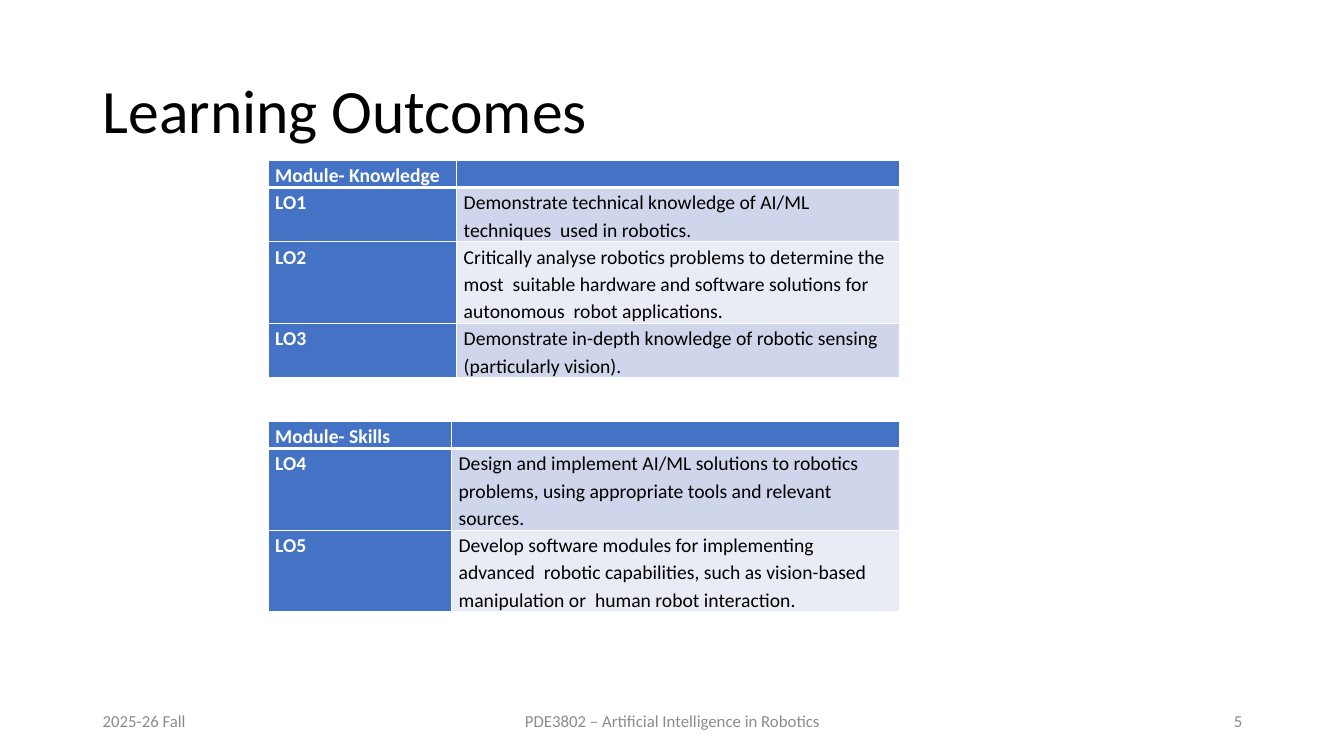
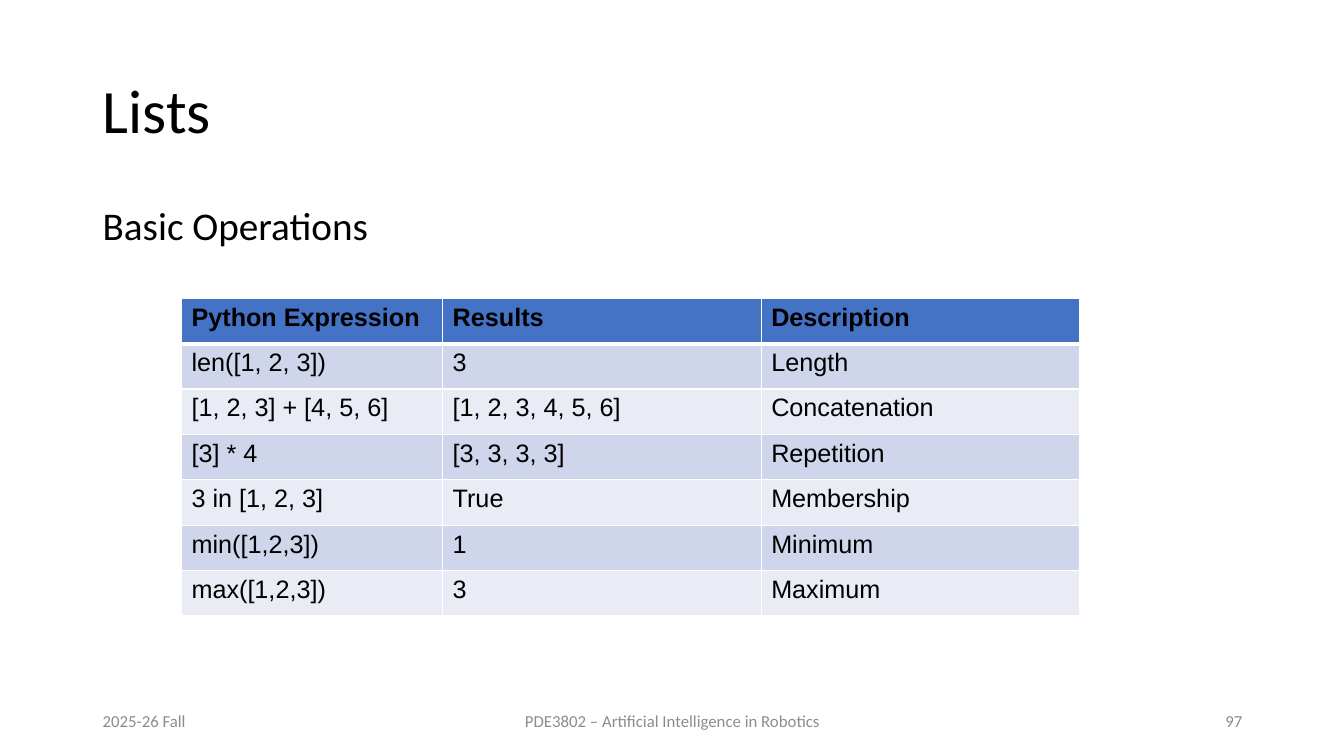
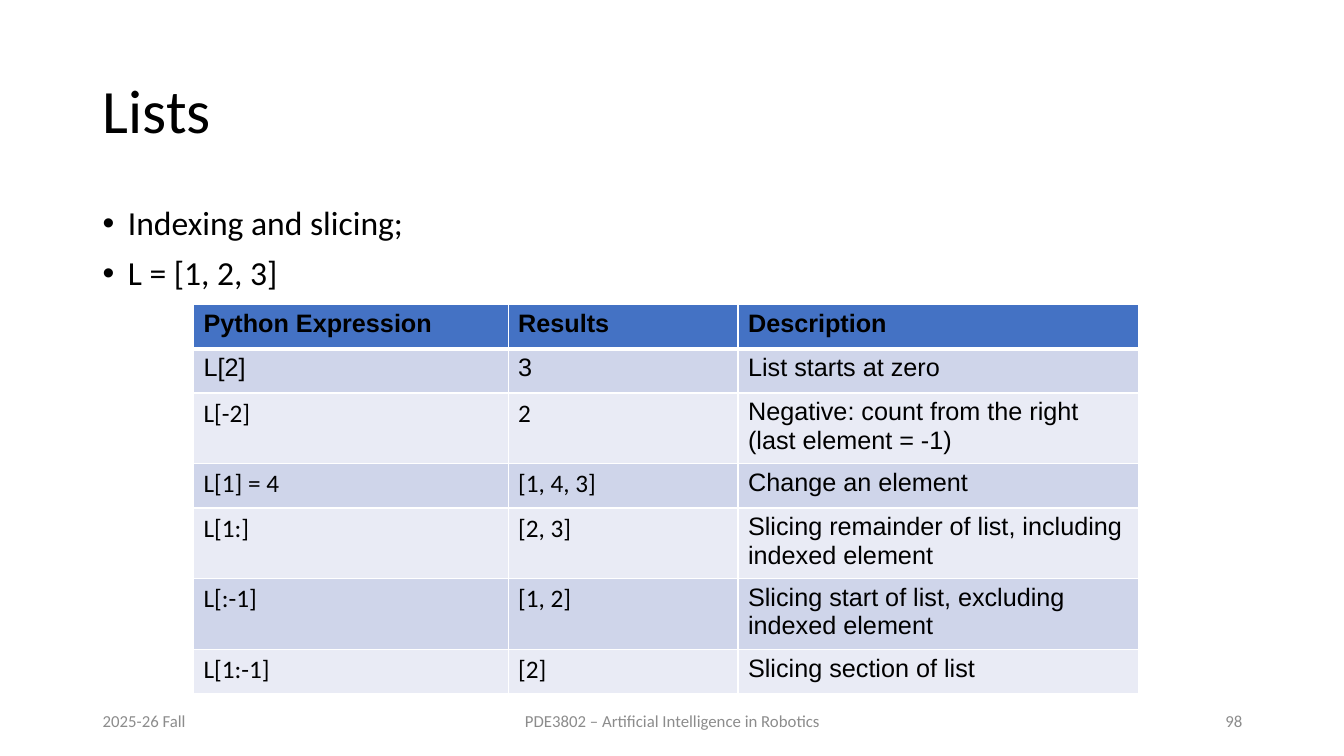
from lxml.etree import SubElement
from pptx import Presentation
from pptx.dml.color import RGBColor
from pptx.enum.text import MSO_ANCHOR as Anchor, PP_ALIGN as Align
from pptx.oxml.ns import qn
from pptx.util import Inches, Pt

BLACK = RGBColor(0x00, 0x00, 0x00)
WHITE = RGBColor(0xFF, 0xFF, 0xFF)
GREY = RGBColor(0x8C, 0x8C, 0x8C)
BLUE = RGBColor(0x44, 0x72, 0xC4)
BANDS = [RGBColor(0xCF, 0xD5, 0xEA), RGBColor(0xE9, 0xEB, 0xF5)]


def add_text(page, place, lines, size, color=BLACK, align=Align.LEFT,
             anchor=Anchor.MIDDLE, spacing=None, bullets=False):
    box = page.shapes.add_textbox(*[Inches(value) for value in place])
    frame = box.text_frame
    frame.word_wrap = True
    frame.vertical_anchor = anchor
    frame.text = "\n".join(lines)
    for index, para in enumerate(frame.paragraphs):
        para.alignment = align
        para.line_spacing = spacing
        if index:
            para.space_before = Pt(10)
        if bullets:
            props = para._p.get_or_add_pPr()
            props.set("marL", str(Inches(0.25)))
            props.set("indent", str(Inches(-0.25)))
            SubElement(props, qn("a:buFont"), typeface="Arial")
            SubElement(props, qn("a:buChar"), char="•")
        for span in para.runs:
            span.font.name = "Calibri"
            span.font.size = Pt(size)
            span.font.color.rgb = color


def add_grid(page, left, top, widths, heights, rows, outcomes=False, calibri_from=None):
    """Outcome grids are compact, with a blue first column.
    Other grids are in Arial, with Calibri code cells from row calibri_from on."""
    table = page.shapes.add_table(
        len(rows), len(widths), Inches(left), Inches(top),
        Inches(sum(widths)), Inches(sum(heights))).table
    for column, width in zip(table.columns, widths):
        column.width = Inches(width)
    for r, (row, height) in enumerate(zip(rows, heights)):
        table.rows[r].height = Inches(height)
        for c, text in enumerate(row):
            cell = table.cell(r, c)
            heading = r == 0 or (outcomes and c == 0)
            code = calibri_from is not None and r >= calibri_from and c < 2

            # White borders, thicker below the header row
            props = cell._tc.get_or_add_tcPr()
            thick = {"lnB": r == 0, "lnT": r == 1}
            for side in ("lnL", "lnR", "lnT", "lnB"):
                line = SubElement(props, qn("a:" + side),
                                  w=str(Pt(3 if thick.get(side) else 1)))
                fill = SubElement(line, qn("a:solidFill"))
                SubElement(fill, qn("a:srgbClr"), val=str(WHITE))
            cell.fill.solid()
            cell.fill.fore_color.rgb = BLUE if heading else BANDS[(r - 1) % 2]

            # Cell text
            cell.text_frame.text = text
            para = cell.text_frame.paragraphs[0]
            if outcomes:
                cell.margin_left = cell.margin_right = Inches(0.07)
                cell.margin_top = cell.margin_bottom = 0
                para.line_spacing = 1.15
            if not text:
                SubElement(para._p, qn("a:endParaRPr"), sz="1400")
            for span in para.runs:
                span.font.name = "Calibri" if outcomes or code else "Arial"
                span.font.size = Pt(14 if outcomes else 18)
                span.font.bold = heading
                span.font.color.rgb = WHITE if outcomes and heading else BLACK


deck = Presentation()
deck.slide_width = Inches(13.33)
deck.slide_height = Inches(7.5)

# Titles and footers
pages = []
for title, number in [("Learning Outcomes", "5"), ("Lists", "97"), ("Lists", "98")]:
    page = deck.slides.add_slide(deck.slide_layouts[6])
    pages.append(page)
    add_text(page, (0.92, 0.4, 9.65, 1.45), [title], 44, spacing=0.9)
    for left, width, text, align in [
        (0.92, 3, "2025-26 Fall", Align.LEFT),
        (4.42, 4.5, "PDE3802 – Artificial Intelligence in Robotics", Align.CENTER),
        (9.42, 3, number, Align.RIGHT),
    ]:
        add_text(page, (left, 6.95, width, 0.4), [text], 12, GREY, align)
outcomes_page, operations_page, slicing_page = pages
BODY = (0.92, 2, 11.5, 4.76)
HEADER = ("Python Expression", "Results", "Description")

# Learning outcomes
add_grid(outcomes_page, 2.66, 1.59, [1.87, 4.39], [0.27, 0.54, 0.81, 0.54], [
    ("Module- Knowledge", ""),
    ("LO1", "Demonstrate technical knowledge of AI/ML techniques  used in robotics."),
    ("LO2", "Critically analyse robotics problems to determine the most  suitable "
            "hardware and software solutions for autonomous  robot applications."),
    ("LO3", "Demonstrate in-depth knowledge of robotic sensing (particularly vision)."),
], outcomes=True)
add_grid(outcomes_page, 2.66, 4.18, [1.82, 4.44], [0.27, 0.81, 0.81], [
    ("Module- Skills", ""),
    ("LO4", "Design and implement AI/ML solutions to robotics problems, "
            "using appropriate tools and relevant sources."),
    ("LO5", "Develop software modules for implementing advanced  robotic capabilities, "
            "such as vision-based manipulation or  human robot interaction."),
], outcomes=True)

# Basic list operations
add_text(operations_page, BODY, ["Basic Operations"], 28, anchor=Anchor.TOP, spacing=0.9)
add_grid(operations_page, 1.8, 2.96, [2.59, 3.16, 3.16], [0.45] * 7, [
    HEADER,
    ("len([1, 2, 3])", "3", "Length"),
    ("[1, 2, 3] + [4, 5, 6]", "[1, 2, 3, 4, 5, 6]", "Concatenation"),
    ("[3] * 4", "[3, 3, 3, 3]", "Repetition"),
    ("3 in [1, 2, 3]", "True", "Membership"),
    ("min([1,2,3])", "1", "Minimum"),
    ("max([1,2,3])", "3", "Maximum"),
])

# Indexing and slicing
add_text(slicing_page, BODY, ["Indexing and slicing;", "L = [1, 2, 3]"], 24,
         anchor=Anchor.TOP, spacing=0.9, bullets=True)
add_grid(slicing_page, 1.92, 3.02, [3.12, 2.28, 3.97],
         [0.44, 0.44, 0.69, 0.44, 0.69, 0.69, 0.44], [
    HEADER,
    ("L[2]", "3", "List starts at zero"),
    ("L[-2]", "2", "Negative: count from the right (last element = -1)"),
    ("L[1] = 4", "[1, 4, 3]", "Change an element"),
    ("L[1:]", "[2, 3]", "Slicing remainder of list, including indexed element"),
    ("L[:-1]", "[1, 2]", "Slicing start of list, excluding indexed element"),
    ("L[1:-1]", "[2]", "Slicing section of list"),
], calibri_from=2)

deck.save("out.pptx")
